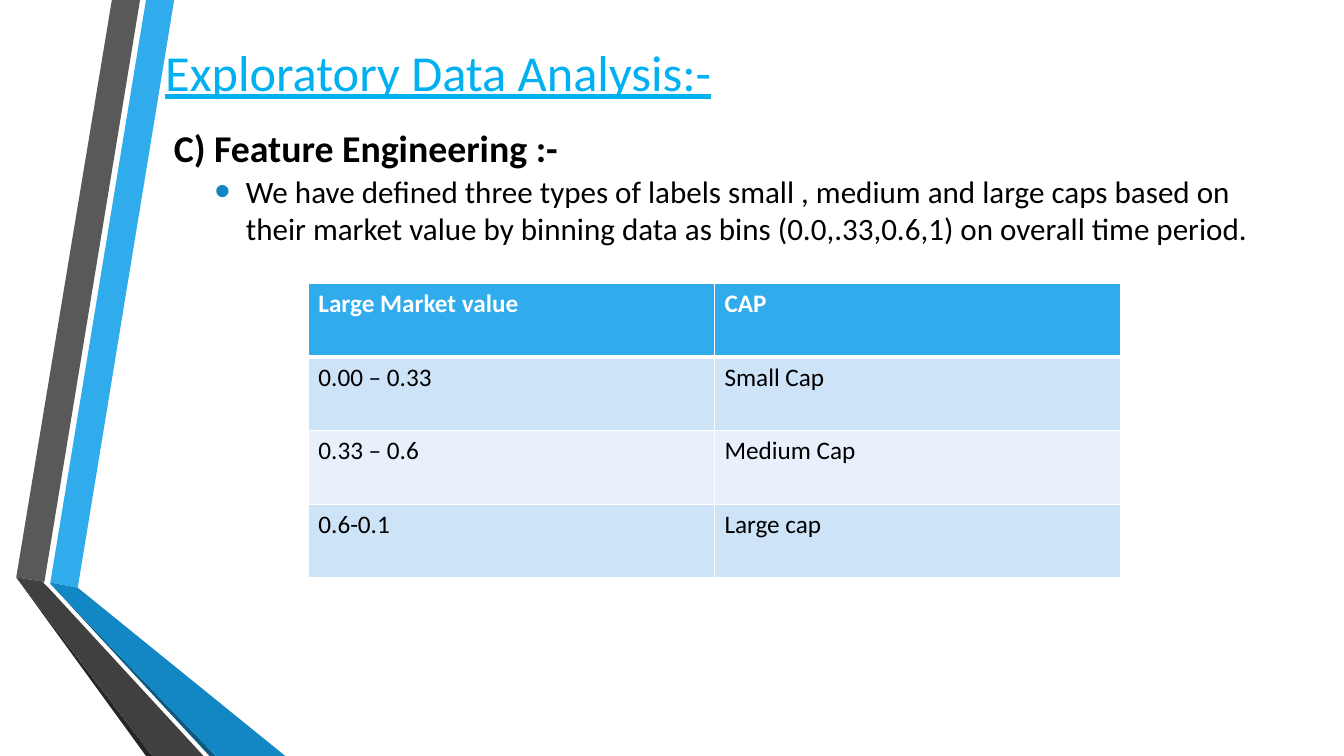
from dataclasses import dataclass

from lxml.etree import SubElement
from pptx import Presentation
from pptx.dml.color import RGBColor as Rgb
from pptx.enum.text import MSO_ANCHOR as Anchor, MSO_AUTO_SIZE as Fit, PP_ALIGN as Align
from pptx.oxml import parse_xml
from pptx.oxml.ns import nsdecls, qn
from pptx.util import Cm, Pt


@dataclass(frozen=True)
class Theme:
    font: str = "Calibri"
    sky: str = "30ACEC"
    blue: str = "1287C3"
    navy: str = "0C5A82"
    gray: str = "595959"
    dark: str = "404040"
    coal: str = "262626"
    title: str = "00B0F0"
    ink: str = "000000"
    white: str = "FFFFFF"
    bands: tuple[str, str] = ("CDE3F8", "E8F1FB")
    head_pt: float = 36
    sub_pt: float = 27
    body_pt: float = 22.2
    cell_pt: float = 18


@dataclass(frozen=True)
class Band:
    color: str
    points: tuple[tuple[float, float], ...]


@dataclass(frozen=True)
class Box:
    left: float
    top: float
    width: float
    height: float

    def sides(self) -> tuple:
        return Cm(self.left), Cm(self.top), Cm(self.width), Cm(self.height)


LOOK = Theme()
FOOT = 19.05
BANDS = (
    Band(LOOK.sky, ((1.27, 14.68), (1.96, 14.81), (4.39, 0), (3.68, 0))),
    Band(LOOK.gray, ((3.53, 0), (2.82, 0), (0.41, 14.55), (1.12, 14.66))),
    Band(LOOK.coal, ((0.41, 14.55), (3.68, FOOT), (3.84, FOOT))),
    Band(LOOK.navy, ((1.27, 14.71), (5.28, FOOT), (5.44, FOOT))),
    Band(LOOK.blue, ((1.27, 14.68), (1.27, 14.71), (5.44, FOOT), (7.19, FOOT), (1.96, 14.81))),
    Band(LOOK.dark, ((5.13, FOOT), (1.22, 14.81), (1.09, 14.68), (1.12, 14.66),
                     (0.41, 14.55), (3.84, FOOT))),
)
ROWS = (
    ("Large Market value", "CAP"),
    ("0.00 – 0.33", "Small Cap"),
    ("0.33 – 0.6", "Medium Cap"),
    ("0.6-0.1", "Large cap"),
)


def add_run(para, text: str, size: float, color: str, bold: bool = False,
            under: bool = False) -> None:
    run = para.add_run()
    run.text = text
    font = run.font
    font.name, font.size = LOOK.font, Pt(size)
    font.bold, font.underline = bold, under
    font.color.rgb = Rgb.from_string(color)


def draw_band(slide, band: Band) -> None:
    first, *rest = [(Cm(x), Cm(y)) for x, y in band.points]
    pen = slide.shapes.build_freeform(*first)
    pen.add_line_segments(rest, close=True)
    shape = pen.convert_to_shape()
    shape.shadow.inherit = False
    shape.fill.solid()
    shape.fill.fore_color.rgb = Rgb.from_string(band.color)
    shape.line.fill.background()


def draw_title(slide, box: Box) -> None:
    title = slide.shapes.title
    slide.shapes._spTree.append(title._element)
    title.left, title.top, title.width, title.height = box.sides()
    frame = title.text_frame
    frame.auto_size, frame.word_wrap = Fit.NONE, True
    frame.vertical_anchor = Anchor.TOP
    frame.margin_top = Cm(0.58)
    para = frame.paragraphs[0]
    para.alignment, para.line_spacing = Align.LEFT, 1.5
    add_run(para, "Exploratory Data Analysis:-", LOOK.head_pt, LOOK.title, under=True)
    para.add_line_break()
    add_run(para, " C) Feature Engineering :-", LOOK.sub_pt, LOOK.ink, bold=True)


def draw_body(slide, box: Box, text: str) -> None:
    frame = slide.shapes.add_textbox(*box.sides()).text_frame
    frame.word_wrap, frame.vertical_anchor = True, Anchor.MIDDLE
    para = frame.paragraphs[0]
    para.space_before, para.space_after = Pt(4.4), Pt(6)
    props = para._p.get_or_add_pPr()
    props.set("marL", str(Cm(0.79)))
    props.set("indent", str(Cm(-0.79)))
    tint = SubElement(props, qn("a:buClr"))
    SubElement(tint, qn("a:srgbClr"), val=LOOK.blue)
    SubElement(props, qn("a:buSzPct"), val="145000")
    SubElement(props, qn("a:buFont"), typeface="Arial")
    SubElement(props, qn("a:buChar"), char="•")
    add_run(para, text, LOOK.body_pt, LOOK.ink)


def add_edges(cell, low: float) -> None:
    props = cell._tc.get_or_add_tcPr()
    for spot, (side, width) in enumerate(zip("LRTB", (1, 1, 1, low))):
        props.insert(spot, parse_xml(
            f'<a:ln{side} {nsdecls("a")} w="{Pt(width)}"><a:solidFill>'
            f'<a:srgbClr val="{LOOK.white}"/></a:solidFill></a:ln{side}>'))


def draw_table(slide, box: Box) -> None:
    table = slide.shapes.add_table(len(ROWS), len(ROWS[0]), *box.sides()).table
    for col in table.columns:
        col.width = Cm(box.width / len(ROWS[0]))
    for r, texts in enumerate(ROWS):
        table.rows[r].height = Cm(box.height / len(ROWS))
        head = r == 0
        for c, text in enumerate(texts):
            cell = table.cell(r, c)
            cell.fill.solid()
            color = LOOK.sky if head else LOOK.bands[(r - 1) % 2]
            cell.fill.fore_color.rgb = Rgb.from_string(color)
            add_edges(cell, 3 if head else 1)
            add_run(cell.text_frame.paragraphs[0], text, LOOK.cell_pt,
                    LOOK.white if head else LOOK.ink, bold=head)


def main() -> None:
    deck = Presentation()
    deck.slide_width, deck.slide_height = Cm(33.87), Cm(FOOT)
    slide = deck.slides.add_slide(deck.slide_layouts[5])
    for band in BANDS:
        draw_band(slide, band)
    draw_title(slide, Box(3.91, -0.3, 28.19, 6.53))
    draw_body(slide, Box(5.16, 3.84, 26.8, 2.87),
              "We have defined three types of labels small , medium and large caps based on "
              "their market value by binning data as bins (0.0,.33,0.6,1) on overall time period.")
    draw_table(slide, Box(7.77, 7.14, 20.47, 7.42))
    deck.save("out.pptx")


if __name__ == "__main__":
    main()
